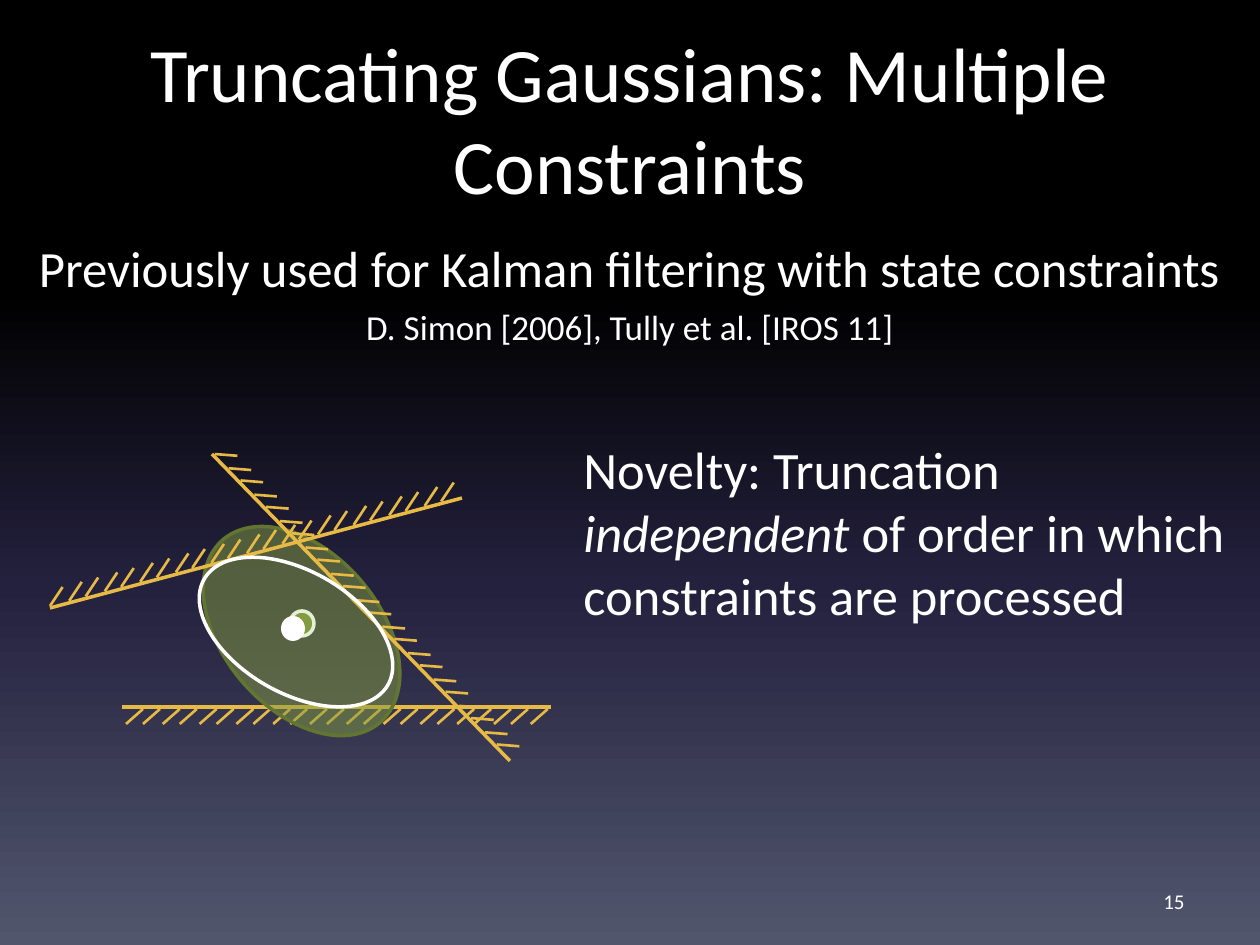
import math

from pptx import Presentation
from pptx.dml.color import RGBColor
from pptx.enum.shapes import MSO_CONNECTOR, MSO_SHAPE
from pptx.enum.text import MSO_ANCHOR, PP_ALIGN
from pptx.oxml.ns import qn
from pptx.util import Pt
from lxml import etree

LINE = MSO_CONNECTOR.STRAIGHT
OVAL = MSO_SHAPE.OVAL
LEFT, CENTER, RIGHT = PP_ALIGN.LEFT, PP_ALIGN.CENTER, PP_ALIGN.RIGHT
TOP, MIDDLE = MSO_ANCHOR.TOP, MSO_ANCHOR.MIDDLE

SCALE = 914400 / 126
FONT = "Calibri"
COLORS = {
    "text": "FFFFFF",
    "wall": "E7BA45",
    "green": "839C41",
    "green_edge": "627531",
    "pale_green": "E7EED6",
}
BACKGROUND = [(0, "000000"), (31, "000000"), (62, "24213E"), (100, "51566D")]


def px(n):
    return round(n * SCALE)


def rgb(name):
    return RGBColor.from_string(COLORS[name])


def paint_background(s):
    fill = s.background.fill
    fill.gradient()
    fill.gradient_angle = 270
    stops = s.element.find(".//" + qn("a:gsLst"))
    for stop in list(stops):
        stops.remove(stop)
    for pos, color in BACKGROUND:
        gs = etree.SubElement(stops, qn("a:gs"), pos=str(pos * 1000))
        etree.SubElement(gs, qn("a:srgbClr"), val=color)


def add_text(s, box, paragraphs, align=LEFT, anchor=TOP):
    """Each paragraph is (size, space before, [(text, italic), ...])."""
    tf = s.shapes.add_textbox(*map(px, box)).text_frame
    tf.word_wrap = True
    tf.vertical_anchor = anchor
    for i, (size, before, runs) in enumerate(paragraphs):
        p = tf.add_paragraph() if i else tf.paragraphs[0]
        p.alignment = align
        p.space_before = Pt(before)
        for text, italic in runs:
            r = p.add_run()
            r.text = text
            r.font.name = FONT
            r.font.size = Pt(size)
            r.font.italic = italic
            r.font.color.rgb = rgb("text")


def add_ellipse(s, box, fill=None, line=None, rotation=0, alpha=None):
    sp = s.shapes.add_shape(OVAL, *map(px, box))
    sp.shadow.inherit = False
    sp.rotation = rotation
    if fill:
        sp.fill.solid()
        sp.fill.fore_color.rgb = rgb(fill)
    else:
        sp.fill.background()
    if alpha:
        color = sp.fill._xPr.find(qn("a:solidFill"))[0]
        etree.SubElement(color, qn("a:alpha"), val=str(alpha * 1000))
    if line:
        sp.line.color.rgb = rgb(line)
        sp.line.width = Pt(2)
    else:
        sp.line.fill.background()


def add_wall(s, start, end, hatches=23):
    """Draw a grouped wall with paired hatches on the right of its direction."""
    group = s.shapes.add_group_shape()
    (x1, y1), (x2, y2) = start, end
    length = math.hypot(x2 - x1, y2 - y1)
    ux, uy = (x2 - x1) / length, (y2 - y1) / length

    def point(along, depth):
        return (px(x1 + along * ux - depth * uy),
                px(y1 + along * uy + depth * ux))

    def stroke(a, b, width):
        c = group.shapes.add_connector(LINE, *point(*a), *point(*b))
        c.line.color.rgb = rgb("wall")
        c.line.width = Pt(width)
        etree.SubElement(c._element.spPr, qn("a:effectLst"))

    stroke((0, 0), (length, 0), 2)
    for i in range(hatches):
        along = 4 + 36.8 * (i // 2) + 17 * (i % 2)
        stroke((along, 17), (along + 17, 2), 1.5)


def add_headings(s):
    add_text(s, (903, 876, 294, 50), [(12, 0, [("15", False)])], RIGHT, MIDDLE)
    add_text(s, (63, 19, 1134, 158),
             [(44, 0, [("Truncating Gaussians: Multiple Constraints", False)])],
             CENTER)
    add_text(s, (0, 231, 1260, 136), [
        (29, 0, [("Previously used for Kalman filtering with state constraints",
                  False)]),
        (20, 4, [("D. Simon [2006], Tully et al. [IROS 11]", False)]),
    ], CENTER)


def add_diagram(s, left, top):
    """Draw the truncated Gaussian between three walls."""
    def at(x, y, *size):
        return (left + x, top + y, *size)

    add_wall(s, at(72, 253), at(501, 253))
    add_ellipse(s, at(131, 99, 241, 156), "green", "green_edge", 229.3, 51)
    add_ellipse(s, at(240, 157, 24, 25), "green", "pale_green")
    add_wall(s, at(412, 44), at(0, 154))
    add_wall(s, at(460, 307), at(162, 0))
    add_ellipse(s, at(140, 117, 212, 122), line="text", rotation=210)
    add_ellipse(s, at(231, 162, 24, 25), "text")


def add_novelty(s):
    add_text(s, (571, 431, 668, 242), [(30, 0, [
        ("Novelty: Truncation ", False),
        ("independent", True),
        (" of order in which constraints are processed", False),
    ])])


def main():
    prs = Presentation()
    prs.slide_width, prs.slide_height = px(1260), px(945)
    s = prs.slides.add_slide(prs.slide_layouts[6])
    paint_background(s)
    add_headings(s)
    add_diagram(s, 50, 454)
    add_novelty(s)
    prs.save("out.pptx")


if __name__ == "__main__":
    main()
